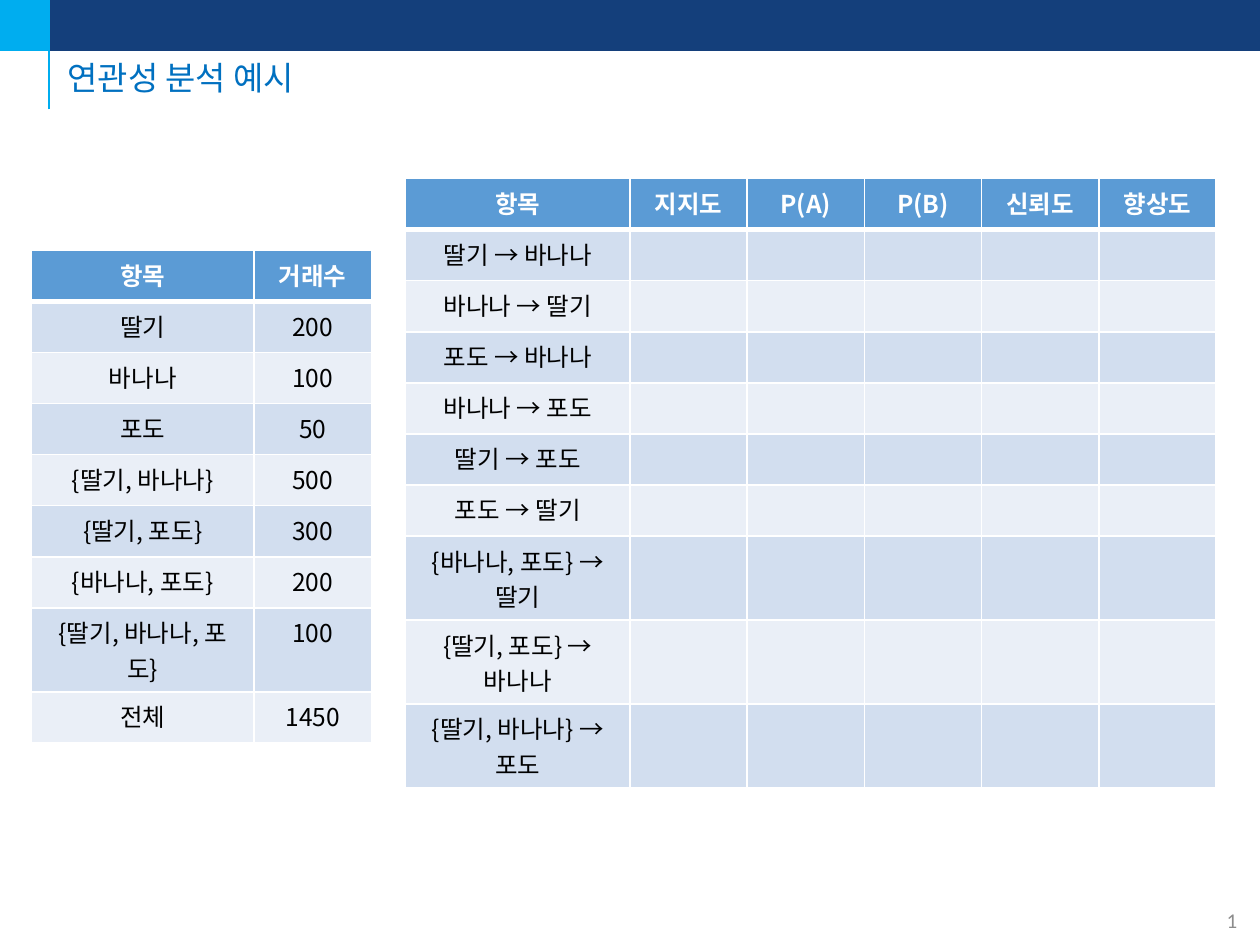
from dataclasses import dataclass

from lxml.etree import SubElement
from pptx import Presentation
from pptx.dml.color import RGBColor as Color
from pptx.enum.shapes import MSO_CONNECTOR as Connector, MSO_SHAPE as Shape
from pptx.enum.text import MSO_ANCHOR as Anchor, PP_ALIGN as Align
from pptx.oxml.ns import qn
from pptx.util import Pt

TITLE = "연관성 분석 예시"
PAGE_NUMBER = "1"

TRANSACTIONS = [
    ("항목", "거래수"),
    ("딸기", "200"),
    ("바나나", "100"),
    ("포도", "50"),
    ("{딸기, 바나나}", "500"),
    ("{딸기, 포도}", "300"),
    ("{바나나, 포도}", "200"),
    ("{딸기, 바나나, 포도}", "100"),
    ("전체", "1450"),
]

MEASURES = ("항목", "지지도", "P(A)", "P(B)", "신뢰도", "향상도")
RULES = [
    "딸기 → 바나나",
    "바나나 → 딸기",
    "포도 → 바나나",
    "바나나 → 포도",
    "딸기 → 포도",
    "포도 → 딸기",
    "{바나나, 포도} → 딸기",
    "{딸기, 포도} → 바나나",
    "{딸기, 바나나} → 포도",
]
BLANKS = ("",) * (len(MEASURES) - 1)
RULE_ROWS = [MEASURES] + [(rule, *BLANKS) for rule in RULES]


@dataclass(frozen=True)
class Theme:
    font: str = "Noto Sans CJK KR"
    number_font: str = "Calibri"
    title_size: float = 18.8
    table_size: float = 14
    number_size: float = 12
    navy: str = "143F7B"
    cyan: str = "00ADEF"
    title: str = "0070C0"
    number: str = "8C8C8C"
    header: str = "5B9BD5"
    bands: tuple = ("D2DEEF", "EAEFF7")
    white: str = "FFFFFF"
    black: str = "000000"


THEME = Theme()
WIDTH, HEIGHT = 720, 540
BAR_HEIGHT = 28.8
ROW_HEIGHT, WRAPPED_ROW_HEIGHT = 29.2, 48
LABEL_LINE_LENGTH = 12
VALUE_WIDTH = 67
THIN, THICK = 1, 3


def style(para, name, size, color, bold=False):
    font = para.font
    font.name = name
    font.size = Pt(size)
    font.bold = bold
    font.color.rgb = Color.from_string(color)
    latin = para._p.pPr.find(qn("a:defRPr")).find(qn("a:latin"))
    east_asian = latin.makeelement(qn("a:ea"), {"typeface": name})
    latin.addnext(east_asian)


def add_bar(page, width, color):
    bar = page.shapes.add_shape(Shape.RECTANGLE, 0, 0, Pt(width), Pt(BAR_HEIGHT))
    bar.shadow.inherit = False
    bar.fill.solid()
    bar.fill.fore_color.rgb = bar.line.color.rgb = Color.from_string(color)
    bar.line.width = Pt(1)


def add_rule_line(page, x, bottom):
    line = page.shapes.add_connector(Connector.STRAIGHT, Pt(x), Pt(bottom), Pt(x), 0)
    line.line.color.rgb = Color.from_string(THEME.cyan)
    line.line.width = Pt(1.5)
    SubElement(line._element.spPr, qn("a:effectLst"))


def add_text(page, text, left, top, width, height, **font):
    box = page.shapes.add_textbox(Pt(left), Pt(top), Pt(width), Pt(height))
    frame = box.text_frame
    frame.word_wrap = True
    frame.vertical_anchor = Anchor.MIDDLE
    para = frame.paragraphs[0]
    para.text = text
    style(para, **font)
    return para


def add_borders(cell, top, bottom):
    properties = cell._tc.get_or_add_tcPr()
    sides = {"lnL": THIN, "lnR": THIN, "lnT": top, "lnB": bottom}
    for side, width in sides.items():
        border = SubElement(properties, qn(f"a:{side}"), w=str(Pt(width)))
        fill = SubElement(border, qn("a:solidFill"))
        SubElement(fill, qn("a:srgbClr"), val=THEME.white)


def row_height(values):
    wraps = len(values[0]) > LABEL_LINE_LENGTH
    return WRAPPED_ROW_HEIGHT if wraps else ROW_HEIGHT


def add_grid(page, rows, left, top, label_width):
    widths = [label_width] + [VALUE_WIDTH] * (len(rows[0]) - 1)
    heights = [row_height(values) for values in rows]
    table = page.shapes.add_table(
        len(rows), len(widths), Pt(left), Pt(top), Pt(sum(widths)), Pt(sum(heights))
    ).table
    for column, width in zip(table.columns, widths):
        column.width = Pt(width)
    for r, (values, height) in enumerate(zip(rows, heights)):
        table.rows[r].height = Pt(height)
        is_header = r == 0
        background = THEME.header if is_header else THEME.bands[(r - 1) % 2]
        color = THEME.white if is_header else THEME.black
        for c, value in enumerate(values):
            cell = table.cell(r, c)
            add_borders(cell, THICK if r == 1 else THIN, THICK if is_header else THIN)
            cell.fill.solid()
            cell.fill.fore_color.rgb = Color.from_string(background)
            para = cell.text_frame.paragraphs[0]
            para.text = value
            para.alignment = Align.CENTER
            style(para, THEME.font, THEME.table_size, color, is_header)


def main():
    deck = Presentation()
    deck.slide_width, deck.slide_height = Pt(WIDTH), Pt(HEIGHT)
    page = deck.slides.add_slide(deck.slide_layouts[6])

    add_bar(page, WIDTH, THEME.navy)
    add_bar(page, 27.5, THEME.cyan)
    add_rule_line(page, 28, 62.5)

    number = add_text(page, PAGE_NUMBER, 689, 511, 30, 29, name=THEME.number_font,
                      size=THEME.number_size, color=THEME.number)
    number.alignment = Align.CENTER
    title = add_text(page, TITLE, 31.5, 29.5, 688, 32, name=THEME.font,
                     size=THEME.title_size, color=THEME.title)
    title.line_spacing = 0.9

    add_grid(page, TRANSACTIONS, left=18, top=143, label_width=127.2)
    add_grid(page, RULE_ROWS, left=231.8, top=102, label_width=128.2)
    deck.save("out.pptx")


if __name__ == "__main__":
    main()
